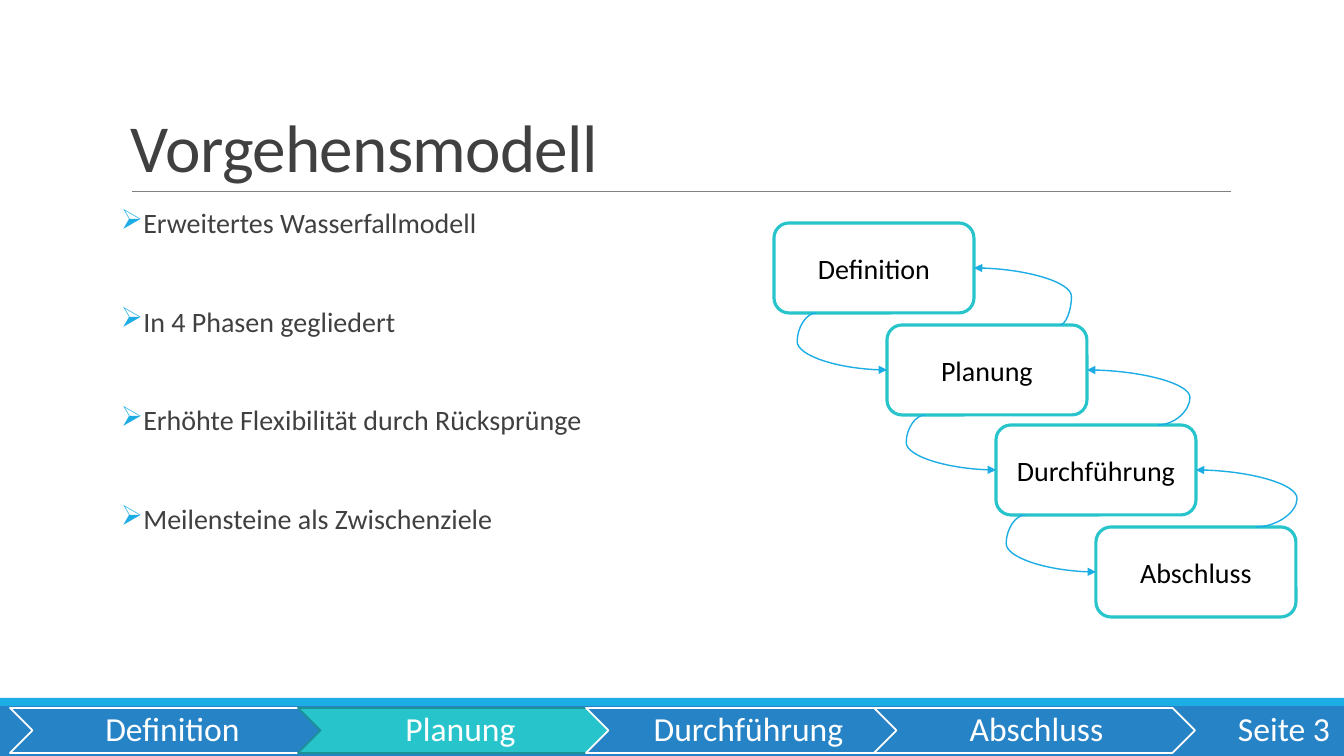
"""Build the slide on the waterfall process model with its phase navigation bar."""
from lxml import etree
from pptx import Presentation
from pptx.dml.color import RGBColor
from pptx.enum.shapes import MSO_CONNECTOR, MSO_SHAPE
from pptx.enum.text import MSO_ANCHOR, PP_ALIGN
from pptx.oxml.ns import qn
from pptx.util import Pt

TITLE = "Vorgehensmodell"
POINTS = [
    "Erweitertes Wasserfallmodell",
    "In 4 Phasen gegliedert",
    "Erhöhte Flexibilität durch Rücksprünge",
    "Meilensteine als Zwischenziele",
]
PHASES = [
    ("Definition", 774, 223),
    ("Planung", 887, 325),
    ("Durchführung", 996, 425),
    ("Abschluss", 1096, 527),
]
RETURNS = [(1060, -13400), (1158, -45100), (1256, -68600)]
CURRENT_PHASE = "Planung"
PAGE = "Seite 3"

COLORS = {
    "white": "FFFFFF",
    "black": "000000",
    "text": "404040",
    "rule": "808080",
    "blue": "2683C6",
    "sky": "1CADE4",
    "teal": "28C4CC",
    "dark_teal": "1E9197",
}
FONT = "Calibri"
SCALE = 914400 / 100.8
WIDTH, HEIGHT = 1344, 756
BOX_W, BOX_H = 200, 90
FORWARD_W, FORWARD_BEND = 71, -26500
STEP_LEFT, STEP_TOP, STEP_W, STEP_H, STEP_PITCH = 10, 708, 321, 45, 288
LABEL_INDENT, LABEL_W = 22, 275


def emu(*lengths):
    return [round(length * SCALE) for length in lengths]


def rgb(color):
    return RGBColor.from_string(COLORS[color])


def add_block(slide, preset, place, fill, line=None, weight=1):
    block = slide.shapes.add_shape(preset, *emu(*place))
    block.shadow.inherit = False
    block.fill.solid()
    block.fill.fore_color.rgb = rgb(fill)
    if line:
        block.line.color.rgb = rgb(line)
        block.line.width = Pt(weight)
    else:
        block.line.fill.background()
    return block


def write(holder, lines, size, color, align=PP_ALIGN.LEFT, spacing=1.0,
          anchor=MSO_ANCHOR.MIDDLE, insets=(10, 5, 10, 5)):
    frame = holder.text_frame
    frame.word_wrap = True
    frame.vertical_anchor = anchor
    (frame.margin_left, frame.margin_top,
     frame.margin_right, frame.margin_bottom) = emu(*insets)
    frame.text = "\n".join(lines)
    for paragraph in frame.paragraphs:
        paragraph.alignment = align
        paragraph.line_spacing = spacing
        paragraph.font.size = Pt(size)
        paragraph.font.name = FONT
        paragraph.font.color.rgb = rgb(color)
    return frame.paragraphs


def add_text(slide, place, *args, **options):
    return write(slide.shapes.add_textbox(*emu(*place)), *args, **options)


def add_line(slide, kind, ends, color, weight):
    line = slide.shapes.add_connector(kind, *emu(*ends))
    line.line.color.rgb = rgb(color)
    line.line.width = Pt(weight)
    etree.SubElement(line._element.spPr, qn("a:effectLst"))
    return line


def add_arrow(slide, ends, bend):
    arrow = add_line(slide, MSO_CONNECTOR.CURVE, ends, "sky", 1)
    properties = arrow._element.spPr
    guides = properties.find(qn("a:prstGeom")).get_or_add_avLst()
    etree.SubElement(guides, qn("a:gd"), name="adj1", fmla=f"val {bend}")
    etree.SubElement(properties.find(qn("a:ln")), qn("a:tailEnd"), type="triangle")


def add_bullet(paragraph):
    properties = paragraph._p.get_or_add_pPr()
    properties.set("marL", "91440")
    properties.set("indent", "-91440")
    tint = etree.Element(qn("a:buClr"))
    etree.SubElement(tint, qn("a:srgbClr"), val=COLORS["sky"])
    sign = etree.Element(qn("a:buChar"), char="➢")
    defaults = properties.find(qn("a:defRPr"))
    defaults.addprevious(tint)
    defaults.addprevious(sign)


def add_navigation(slide):
    add_block(slide, MSO_SHAPE.RECTANGLE, (0, 706, WIDTH, 50), "blue")
    add_block(slide, MSO_SHAPE.RECTANGLE, (0, 698, WIDTH, 8), "sky")
    for index, (phase, _, _) in enumerate(PHASES):
        left = STEP_LEFT + index * STEP_PITCH
        fill, line = ("teal", "dark_teal") if phase == CURRENT_PHASE else ("blue", "white")
        add_block(slide, MSO_SHAPE.CHEVRON, (left, STEP_TOP, STEP_W, STEP_H), fill, line, 1.25)
        add_text(slide, (left + LABEL_INDENT, STEP_TOP, LABEL_W, STEP_H), [phase], 24, "white",
                 align=PP_ALIGN.CENTER, spacing=0.9, insets=(10, 4, 4, 4))
    add_text(slide, (1196, 708, 144, 40), [PAGE], 24, "white", align=PP_ALIGN.RIGHT)


def add_content(slide):
    add_line(slide, MSO_CONNECTOR.STRAIGHT, (132, 191, 1231, 191), "rule", 0.5)
    heading = add_text(slide, (121, 31, 1109, 160), [TITLE], 48, "text",
                       spacing=0.85, anchor=MSO_ANCHOR.BOTTOM)
    heading[0].runs[0].font._element.set("spc", "-50")
    points = add_text(slide, (121, 204, 600, 444), POINTS, 20, "text", spacing=0.9,
                      anchor=MSO_ANCHOR.TOP, insets=(0, 5, 0, 5))
    for point in points:
        point.space_after = Pt(49)
        add_bullet(point)


def add_waterfall(slide):
    for phase, left, top in PHASES:
        box = add_block(slide, MSO_SHAPE.ROUNDED_RECTANGLE, (left, top, BOX_W, BOX_H),
                        "white", "teal", 2.25)
        write(box, [phase], 20, "black", align=PP_ALIGN.CENTER)
    for (_, left, top), (_, next_left, next_top), (start, bend) in zip(PHASES, PHASES[1:], RETURNS):
        middle, next_middle = top + BOX_H // 2, next_top + BOX_H // 2
        add_arrow(slide, (next_left - FORWARD_W, top + BOX_H, next_left, next_middle), FORWARD_BEND)
        add_arrow(slide, (start, next_top, left + BOX_W, middle), bend)


def main():
    deck = Presentation()
    deck.slide_width, deck.slide_height = emu(WIDTH, HEIGHT)
    slide = deck.slides.add_slide(deck.slide_layouts[6])
    add_navigation(slide)
    add_content(slide)
    add_waterfall(slide)
    deck.save("out.pptx")


if __name__ == "__main__":
    main()
